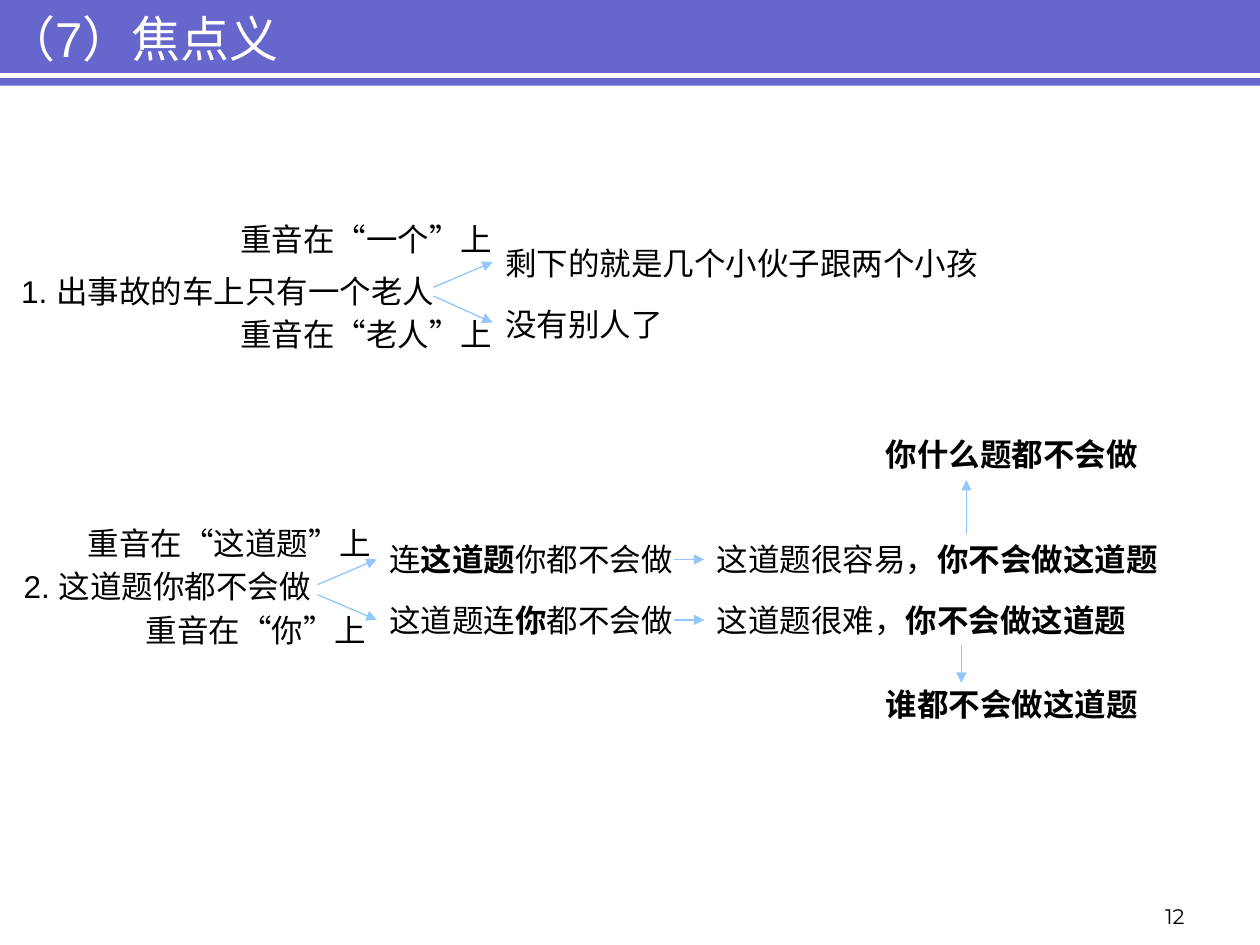
"""Build the slide on focus meaning, with two sentences branching by stress."""
from dataclasses import dataclass

from lxml import etree
from pptx import Presentation, util as u
from pptx.dml.color import RGBColor
from pptx.enum import shapes, text
from pptx.oxml import ns

COLOURS = {"band": "6666CC", "paper": "FFFFFF", "ink": "000000", "arrow": "93C7FC"}


@dataclass(frozen=True)
class Label:
    """A text box; words between asterisks are bold."""
    words: str
    left: float
    top: float
    width: float
    height: float = 0.4
    size: int = 18
    font: str = "Arial"
    colour: str = "ink"
    align: text.PP_ALIGN = text.PP_ALIGN.LEFT
    anchor: text.MSO_ANCHOR = text.MSO_ANCHOR.TOP
    wrap: bool = True
    grow: bool = True


@dataclass(frozen=True)
class Line:
    """A straight line between two points, with an optional arrowhead."""
    x1: float
    y1: float
    x2: float
    y2: float
    colour: str = "arrow"
    weight: float = 0.75
    arrow: bool = True


@dataclass(frozen=True)
class Reading:
    """One stressed reading of the second sentence and what it implies."""
    top: float
    focus: str
    meaning: str
    height: float
    fork: float
    result: Label
    result_arrow: Line


def colour(name: str) -> RGBColor:
    """Look up a named colour."""
    return RGBColor.from_string(COLOURS[name])


def draw_label(page, label: Label) -> None:
    """Add a label as a text box."""
    box = page.shapes.add_textbox(
        *map(u.Inches, (label.left, label.top, label.width, label.height)))
    frame = box.text_frame
    fit = text.MSO_AUTO_SIZE.SHAPE_TO_FIT_TEXT if label.grow else text.MSO_AUTO_SIZE.NONE
    layout = {"word_wrap": label.wrap, "vertical_anchor": label.anchor, "auto_size": fit}
    for name, value in layout.items():
        setattr(frame, name, value)
    para = frame.paragraphs[0]
    para.alignment = label.align
    for index, words in enumerate(label.words.split("*")):
        if not words:
            continue
        span = para.add_run()
        span.text = words
        style = {"name": label.font, "size": u.Pt(label.size), "bold": index % 2 == 1}
        for name, value in style.items():
            setattr(span.font, name, value)
        span.font.color.rgb = colour(label.colour)


def draw_line(page, line: Line) -> None:
    """Add a line as a connector without a shadow."""
    connector = page.shapes.add_connector(
        shapes.MSO_CONNECTOR.STRAIGHT,
        *map(u.Inches, (line.x1, line.y1, line.x2, line.y2)))
    connector.line.color.rgb = colour(line.colour)
    connector.line.width = u.Pt(line.weight)
    if line.arrow:
        etree.SubElement(connector.line._get_or_add_ln(), ns.qn("a:tailEnd"), type="triangle")
    etree.SubElement(connector._element.spPr, ns.qn("a:effectLst"))


def draw_header(page) -> None:
    """Add the band, its white rule, the page number and the title."""
    band = page.shapes.add_shape(
        shapes.MSO_SHAPE.RECTANGLE, *map(u.Inches, (-0.04, -0.03, 10.04, 0.71)))
    band.shadow.inherit = False
    band.fill.solid()
    band.fill.fore_color.rgb = colour("band")
    band.line.fill.background()
    draw_line(page, Line(-0.04, 0.6, 10, 0.6, "paper", 3, False))
    draw_label(page, Label("12", 7.42, 6.92, 2.08, 0.5, 12, "Montserrat",
                           align=text.PP_ALIGN.RIGHT, anchor=text.MSO_ANCHOR.BOTTOM,
                           grow=False))
    draw_label(page, Label("（7）焦点义", -0.05, -0.02, 7.95, 0.64, 28, colour="paper",
                           anchor=text.MSO_ANCHOR.MIDDLE, grow=False))


def draw_reading(page, reading: Reading) -> None:
    """Add a row of the second sentence: fork, focus, meaning and result."""
    middle = reading.top + 0.2
    draw_label(page, Label(reading.focus, 2.99, reading.top, 2.84))
    draw_label(page, Label(reading.meaning, 5.59, reading.top, 4.16, reading.height))
    draw_line(page, Line(2.52, reading.fork, 2.99, middle))
    draw_line(page, Line(5.35, middle, 5.59, middle))
    draw_label(page, reading.result)
    draw_line(page, reading.result_arrow)


LABELS = [
    Label("1. 出事故的车上只有一个老人", 0.07, 2.11, 3.55),
    Label("2. 这道题你都不会做", 0.09, 4.45, 3.14),
    Label("剩下的就是几个小伙子跟两个小孩", 3.91, 1.89, 4.32),
    Label("重音在“一个”上", 1.81, 1.7, 2.54),
    Label("没有别人了", 3.91, 2.37, 3.99),
    Label("重音在“老人”上", 1.81, 2.45, 2.25),
    Label("重音在“这道题”上", 0.6, 4.11, 2.54),
    Label("重音在“你”上", 1.06, 4.8, 2.08),
]
FORK = [Line(3.44, 2.28, 3.91, 2.08), Line(3.44, 2.35, 3.91, 2.56)]
READINGS = [
    Reading(4.24, "连*这道题*你都不会做", "这道题很容易，*你不会做这道题*", 0.4, 4.64,
            Label("*你什么题都不会做*", 6.93, 3.4, 2.2, wrap=False),
            Line(7.67, 4.24, 7.67, 3.81)),
    Reading(4.72, "这道题连*你*都不会做", "这道题很难，*你不会做这道题*", 0.7, 4.72,
            Label("*谁都不会做这道题*", 6.93, 5.39, 2.2, wrap=False),
            Line(7.63, 5.12, 7.63, 5.42)),
]


def main() -> None:
    """Build and save the deck."""
    deck = Presentation()
    deck.slide_width, deck.slide_height = u.Inches(10), u.Inches(7.5)
    page = deck.slides.add_slide(deck.slide_layouts[6])
    draw_header(page)
    for label in LABELS:
        draw_label(page, label)
    for line in FORK:
        draw_line(page, line)
    for reading in READINGS:
        draw_reading(page, reading)
    deck.save("out.pptx")


if __name__ == "__main__":
    main()
